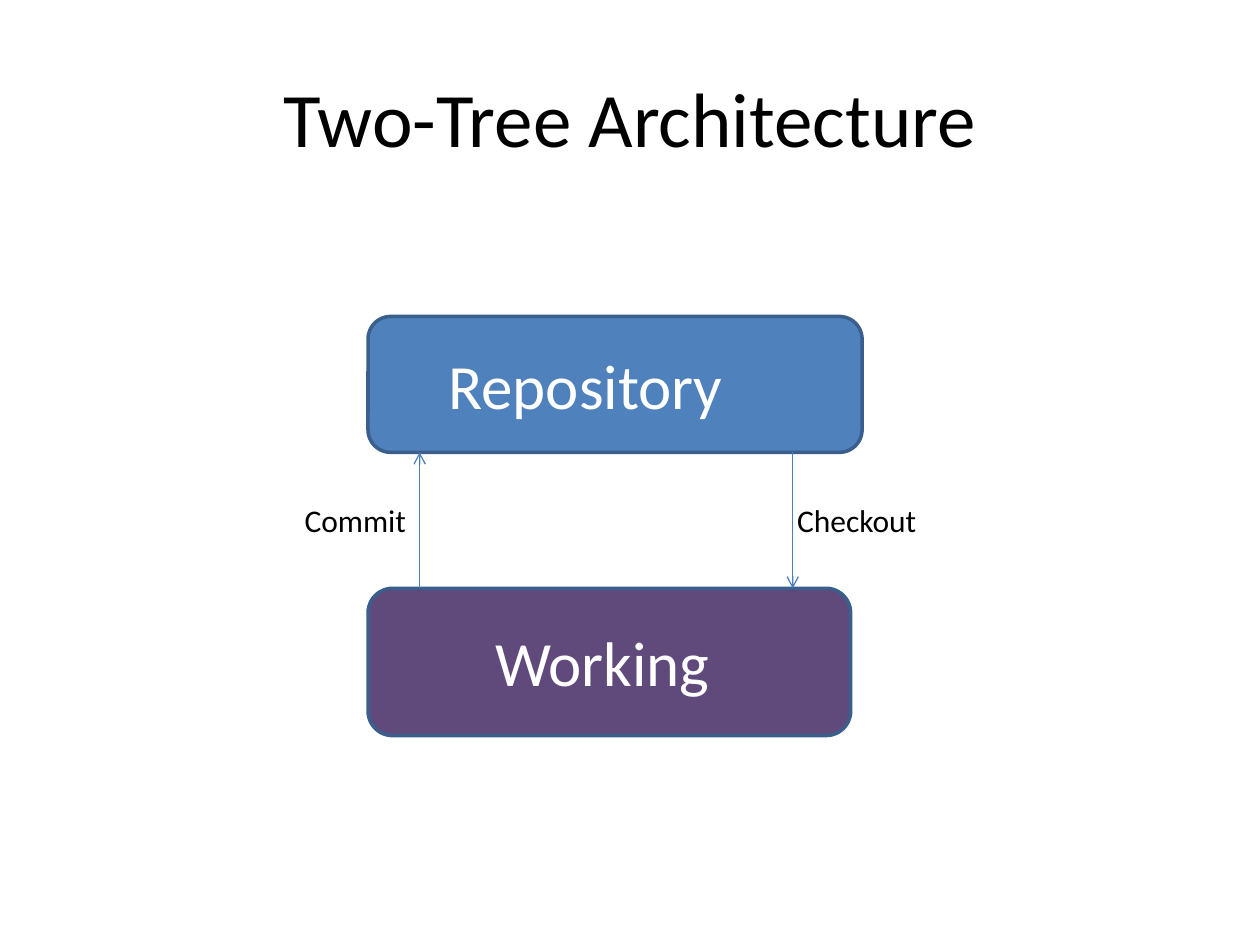
import pptx
import pptx.util
import pptx.dml.color
import pptx.enum.shapes
import pptx.enum.text
import pptx.oxml.ns
import lxml.etree

Cm = pptx.util.Cm
Pt = pptx.util.Pt
FONT = "Calibri"
COLOURS = {
    "black": "000000",
    "white": "FFFFFF",
    "repository": "4F81BD",
    "working": "604A7B",
    "outline": "3A5F8C",
    "arrow": "4B7EBC",
}


def colour(name):
    """Return the RGB colour with the given name."""
    return pptx.dml.color.RGBColor.from_string(COLOURS[name])


def add_text(page, words, area, size, ink="black", centred=False):
    """Add one line of text; area is left, top, width, height in cm."""
    box = page.shapes.add_textbox(*map(Cm, area))
    frame = box.text_frame
    frame.word_wrap = True
    para = frame.paragraphs[0]
    if centred:
        frame.vertical_anchor = pptx.enum.text.MSO_ANCHOR.MIDDLE
        para.alignment = pptx.enum.text.PP_ALIGN.CENTER
    span = para.add_run()
    span.text = words
    span.font.name = FONT
    span.font.size = Pt(size)
    span.font.color.rgb = colour(ink)


def add_tree(page, fill, area):
    """Add the rounded box that stands for one tree."""
    kind = pptx.enum.shapes.MSO_SHAPE.ROUNDED_RECTANGLE
    box = page.shapes.add_shape(kind, *map(Cm, area))
    box.shadow.inherit = False
    box.fill.solid()
    box.fill.fore_color.rgb = colour(fill)
    box.line.color.rgb = colour("outline")
    box.line.width = Pt(2)


def add_arrow(page, x, start, end):
    """Add a vertical arrow at x that runs from start to end, in cm."""
    kind = pptx.enum.shapes.MSO_CONNECTOR.STRAIGHT
    arrow = page.shapes.add_connector(kind, Cm(x), Cm(start), Cm(x), Cm(end))
    arrow.line.color.rgb = colour("arrow")
    arrow.line.width = Pt(0.75)
    qn = pptx.oxml.ns.qn
    line = arrow.line._get_or_add_ln()
    lxml.etree.SubElement(line, qn("a:tailEnd"), type="arrow")
    lxml.etree.SubElement(arrow._element.spPr, qn("a:effectLst"))


def main():
    """Build the slide and save it."""
    deck = pptx.Presentation()
    deck.slide_width, deck.slide_height = Cm(25.4), Cm(19.05)
    page = deck.slides.add_slide(deck.slide_layouts[6])

    add_text(page, "Two-Tree Architecture", (1.27, 0.76, 22.86, 3.18), 44,
             centred=True)

    left, upper, lower = 7.42, 9.12, 11.86
    add_tree(page, "repository", (left, 6.38, 9.96, upper - 6.38))
    add_tree(page, "working", (left, lower, 9.73, 2.97))
    add_text(page, "Repository", (8.79, 6.86, 7.19, 1.8), 36, "white")
    add_text(page, "Working", (9.73, 12.45, 5.28, 1.8), 36, "white")

    add_arrow(page, 8.46, lower, upper)
    add_arrow(page, 15.98, upper, lower)
    for words, x in (("Commit", 5.89), ("Checkout", 15.82)):
        add_text(page, words, (x, 9.98, 3.05, 1.02), 18)

    deck.save("out.pptx")


main()
